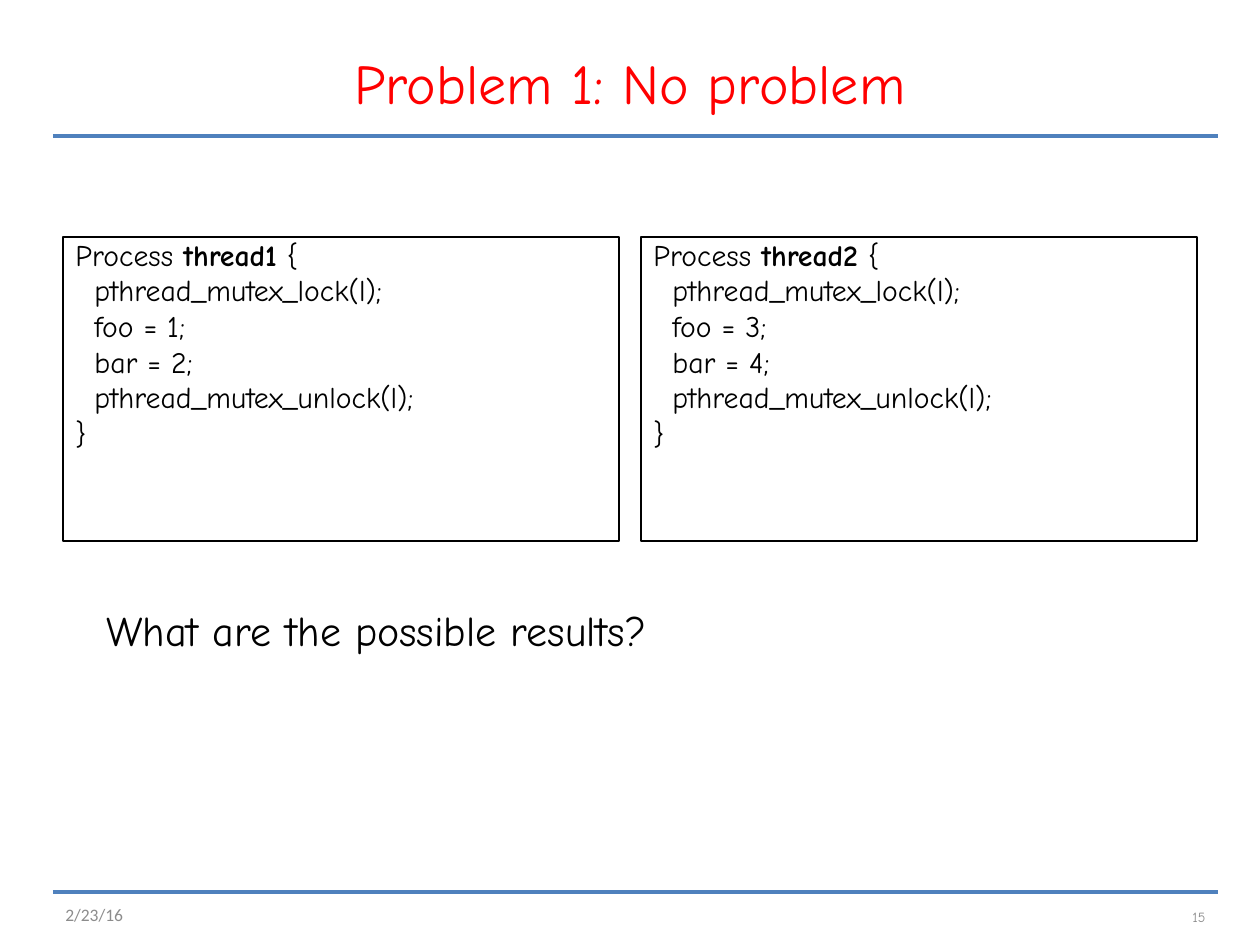
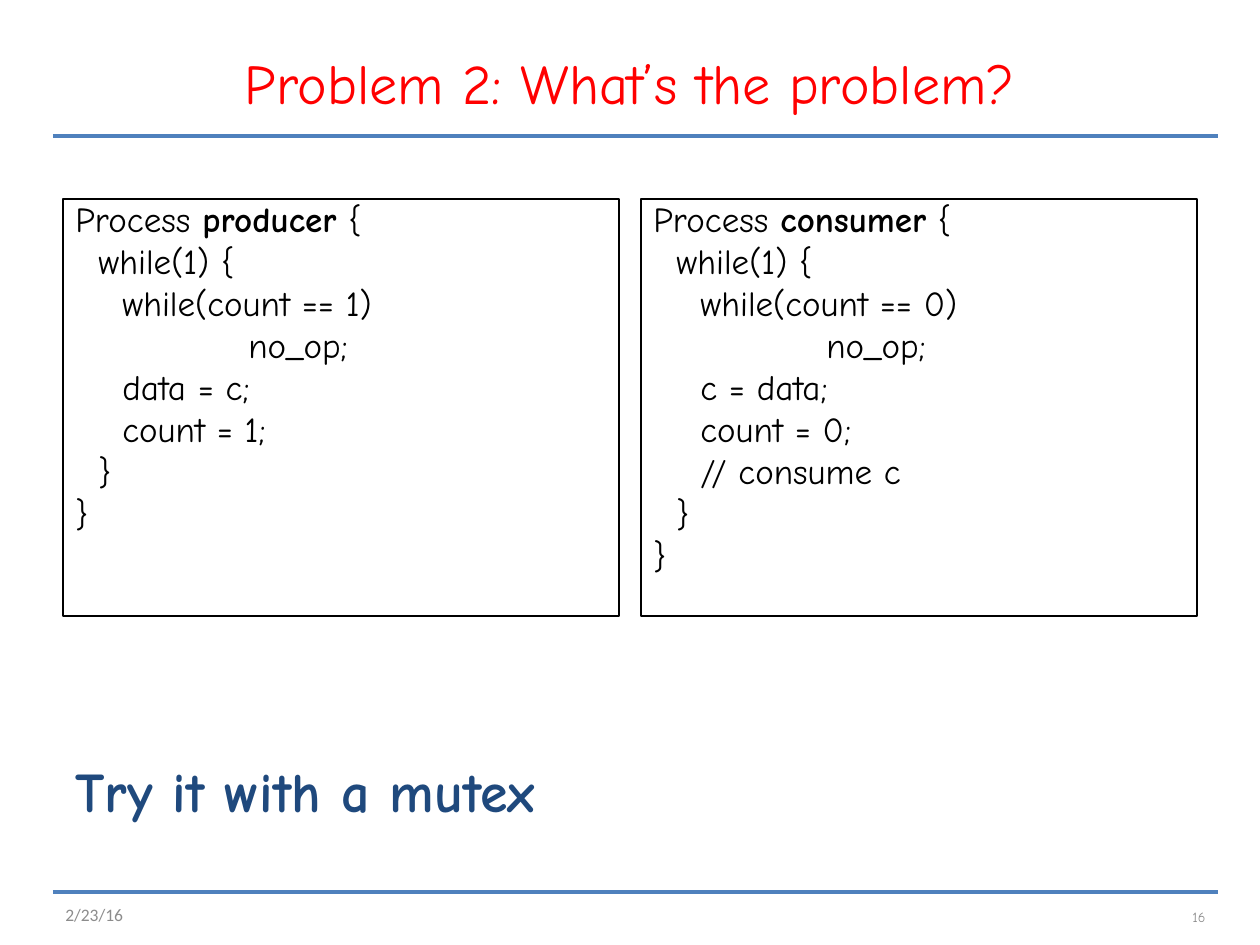
from dataclasses import dataclass
from lxml import etree
from pptx import Presentation
from pptx import util as u
from pptx.dml.color import RGBColor
from pptx.enum import shapes, text
from pptx.oxml.ns import qn

# Content: code lines are (indent level, text)
DATE = "2/23/16"
FIRST = 15


def lock(foo, bar):
    return [(1, "pthread_mutex_lock(l);"), (1, f"foo = {foo};"), (1, f"bar = {bar};"),
            (1, "pthread_mutex_unlock(l);"), (0, "}")]


def loop(count, *body):
    return [(1, "while(1) {"), (2, f"while(count == {count})"), (3, "no_op;"),
            *((2, line) for line in body), (1, "}"), (0, "}")]


SLIDES = [
    dict(title="Problem 1: No problem", top=237, high=304, size=17, tabs=(0, 19, 47, 173),
         code={"thread1": lock(1, 2), "thread2": lock(3, 4)},
         note="What are the possible results?", style="ask", spot=(94, 598, 1071, 63)),
    dict(title="Problem 2: What’s the problem?", top=199, high=417, size=20, tabs=(0, 23, 47, 173),
         code={"producer": loop(1, "data = c;", "count = 1;"),
               "consumer": loop(0, "c = data;", "count = 0;", "// consume c")},
         note="Try it with a mutex", style="task", spot=(63, 708, 1040, 122)),
]


# Theme: each text style is (size, colour, bold, font)
@dataclass(frozen=True)
class Theme:
    ink: str = "000000"
    rule: str = "4F81BD"
    font: str = "Comic Neue"
    title: tuple = (32, "FF0000", False, font)
    ask: tuple = (24, ink, False, font)
    task: tuple = (32, "1F497D", True, font)
    page: tuple = (8, "8C8C8C", False, font)
    date: tuple = (10, "8C8C8C", False, "Calibri")


T = Theme()
LEFT, RIGHT = 53, 1218
BOX_X, BOX_W, GAP = 63, 556, 22
ALIGN, ANCHOR = text.PP_ALIGN, text.MSO_ANCHOR


def px(n):
    return u.Emu(round(n * 914400 / 126))


def rgb(code):
    return RGBColor.from_string(code)


# Drawing helpers
def add_run(para, words, style):
    size, color, bold, font = style
    run = para.add_run()
    run.text = words
    run.font.size, run.font.bold, run.font.name = u.Pt(size), bold, font
    run.font.color.rgb = rgb(color)


def fill_text(shape, words, style, align=ALIGN.LEFT, anchor=ANCHOR.MIDDLE):
    frame = shape.text_frame
    frame.word_wrap, frame.vertical_anchor = True, anchor
    para = frame.paragraphs[0]
    para.alignment = align
    add_run(para, words, style)


def add_label(slide, spot, *args):
    fill_text(slide.shapes.add_textbox(*map(px, spot)), *args)


def add_rule(slide, y):
    line = slide.shapes.add_connector(shapes.MSO_CONNECTOR.STRAIGHT,
                                      px(LEFT), px(y), px(RIGHT), px(y))
    line.line.color.rgb, line.line.width = rgb(T.rule), u.Pt(2)
    etree.SubElement(line.element.spPr, qn("a:effectLst"))


def add_frame(slide, page):
    title = slide.shapes.title
    title.left, title.top, title.width, title.height = map(px, (63, 38, 1134, 88))
    fill_text(title, page["title"], T.title, ALIGN.CENTER)
    for y in (136, 892):
        add_rule(slide, y)


def add_code(slide, x, page, name, lines):
    box = slide.shapes.add_shape(shapes.MSO_SHAPE.RECTANGLE,
                                 *map(px, (x, page["top"], BOX_W, page["high"])))
    box.shadow.inherit = False
    box.fill.background()
    box.line.color.rgb, box.line.width = rgb(T.ink), u.Pt(0.75)
    frame = box.text_frame
    frame.word_wrap, frame.vertical_anchor = True, ANCHOR.TOP
    size = page["size"]
    plain, strong = [(size, T.ink, bold, T.font) for bold in (False, True)]
    head = [("Process ", plain), (name, strong), (" {", plain)]
    rows = [(0, head)] + [(level, [(line, plain)]) for level, line in lines]
    for i, (level, runs) in enumerate(rows):
        para = frame.add_paragraph() if i else frame.paragraphs[0]
        para.alignment, para.line_spacing = ALIGN.LEFT, 0.8
        para.space_before = u.Pt(round(size * 0.24, 1) if i else 0)
        para._p.get_or_add_pPr().set("marL", str(px(page["tabs"][level])))
        for words, style in runs:
            add_run(para, words, style)


# Build
def main():
    prs = Presentation()
    prs.slide_width, prs.slide_height = px(1260), px(945)
    for number, page in enumerate(SLIDES, FIRST):
        slide = prs.slides.add_slide(prs.slide_layouts[5])
        add_frame(slide, page)
        add_label(slide, (1102, 892, 116, 50), str(number), T.page, ALIGN.RIGHT)
        add_label(slide, (LEFT, 895, 189, 40), DATE, T.date)
        for i, (name, lines) in enumerate(page["code"].items()):
            add_code(slide, BOX_X + i * (BOX_W + GAP), page, name, lines)
        anchor = ANCHOR.TOP if page["style"] == "ask" else ANCHOR.BOTTOM
        add_label(slide, page["spot"], page["note"], getattr(T, page["style"]),
                  ALIGN.LEFT, anchor)
    prs.save("out.pptx")


if __name__ == "__main__":
    main()
